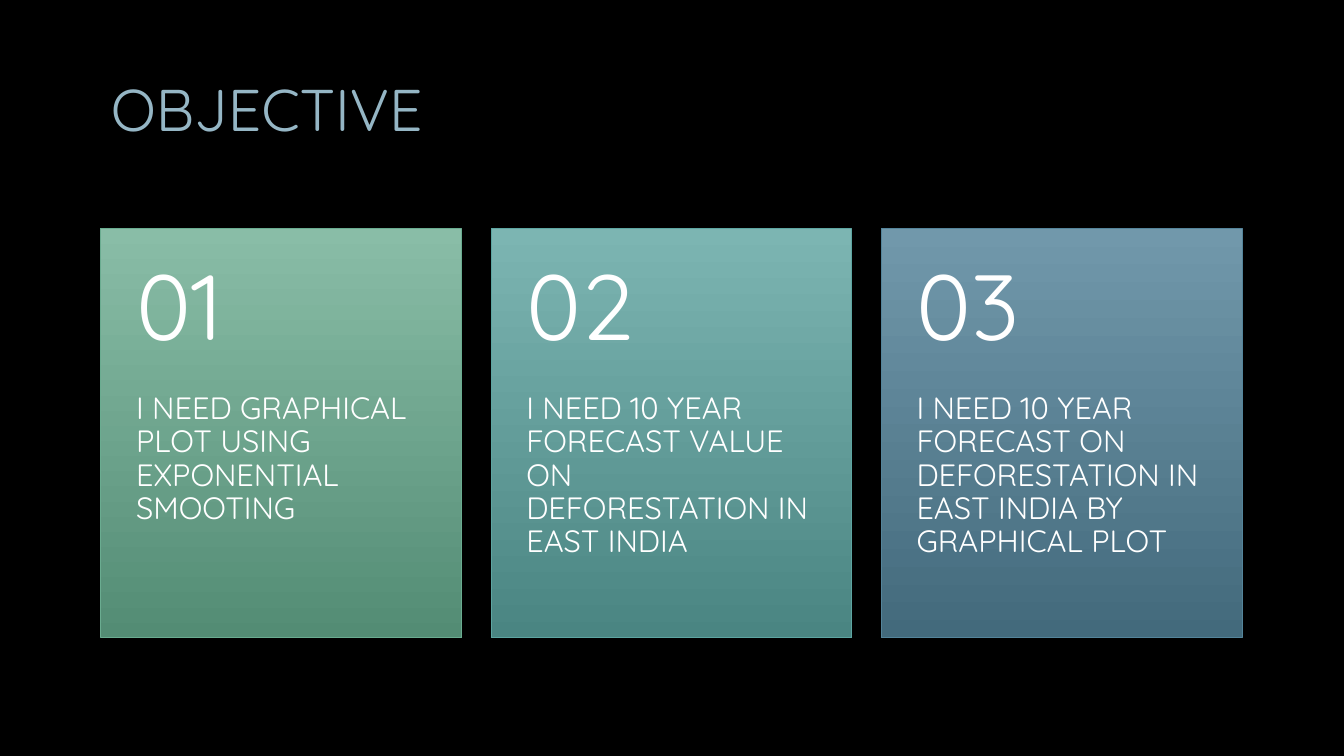
from dataclasses import dataclass

from lxml import etree
from pptx import Presentation
from pptx.dml.color import RGBColor
from pptx.enum.shapes import MSO_SHAPE as Shape
from pptx.enum.text import MSO_ANCHOR as Anchor, PP_ALIGN as Align
from pptx.oxml import parse_xml
from pptx.oxml.ns import nsdecls, qn
from pptx.slide import Slide
from pptx.text.text import TextFrame
from pptx.util import Inches, Pt


@dataclass(frozen=True)
class Theme:
    font: str = "Quicksand"
    background: str = "000000"
    title: str = "95B6C5"
    text: str = "FFFFFF"
    title_size: float = 42
    number_size: float = 66
    body_size: float = 22


@dataclass(frozen=True)
class Card:
    text: str
    top_color: str
    bottom_color: str
    border: str


THEME = Theme()
CARDS = [
    Card("I NEED GRAPHICAL PLOT USING EXPONENTIAL SMOOTING",
         "89BDA7", "538C74", "6AAC90"),
    Card("I NEED 10 YEAR FORECAST VALUE ON DEFORESTATION IN EAST INDIA",
         "7CB5B2", "4A8582", "5DA5A1"),
    Card("I NEED 10 YEAR FORECAST ON DEFORESTATION IN EAST INDIA BY GRAPHICAL PLOT",
         "7198AB", "436A7C", "54849A"),
]

# Card grid, in inches
LEFT, TOP, WIDTH, HEIGHT = 1, 2.27, 3.58, 4.06
STEP = 3.87
NUMBER_HEIGHT, BODY_TOP, BODY_HEIGHT = 1.62, 3.9, 2.44
SIDE_INSET = 0.35


def add_text(tf: TextFrame, text: str, size: float, color: str) -> None:
    p = tf.paragraphs[0]
    p.alignment = Align.LEFT
    r = p.add_run()
    r.text = text
    r.font.name = THEME.font
    r.font.size = Pt(size)
    r.font.color.rgb = RGBColor.from_string(color)


def add_label(s: Slide, left: float, top: float, height: float, text: str,
              size: float, anchor: Anchor, insets: tuple[float, float]) -> None:
    tf = s.shapes.add_textbox(Inches(left), Inches(top),
                              Inches(WIDTH), Inches(height)).text_frame
    tf.word_wrap = True
    tf.vertical_anchor = anchor
    tf.margin_left = tf.margin_right = Inches(SIDE_INSET)
    tf.margin_top, tf.margin_bottom = map(Inches, insets)
    add_text(tf, text, size, THEME.text)
    tf.paragraphs[0].line_spacing = 0.9


def add_panel(s: Slide, left: float, card: Card) -> None:
    sp = s.shapes.add_shape(Shape.RECTANGLE, Inches(left), Inches(TOP),
                            Inches(WIDTH), Inches(HEIGHT))
    sp.fill.gradient()
    sp.fill.gradient_angle = 270  # counter-clockwise: top to bottom
    for stop, color, position in zip(sp.fill.gradient_stops,
                                     (card.top_color, card.bottom_color), (0, 1)):
        stop.color.rgb = RGBColor.from_string(color)
        stop.position = position
    sp.line.color.rgb = RGBColor.from_string(card.border)
    sp.line.width = Pt(0.75)
    # Soft shadow below the panel
    sp.shadow.inherit = False
    effects = sp._element.spPr.find(qn("a:effectLst"))
    effects.append(parse_xml(
        f'<a:outerShdw {nsdecls("a")} blurRad="{Pt(5)}" dist="{Pt(3)}" '
        'dir="5400000" algn="ctr" rotWithShape="0"><a:srgbClr val="000000">'
        '<a:alpha val="60000"/></a:srgbClr></a:outerShdw>'))


def add_card(s: Slide, index: int, card: Card) -> None:
    left = LEFT + index * STEP
    add_panel(s, left, card)
    add_label(s, left, BODY_TOP, BODY_HEIGHT, card.text,
              THEME.body_size, Anchor.TOP, (0, 0.36))
    add_label(s, left, TOP, NUMBER_HEIGHT, f"{index + 1:02}",
              THEME.number_size, Anchor.MIDDLE, (0.18, 0.18))


def main() -> None:
    prs = Presentation()
    prs.slide_width, prs.slide_height = Inches(13.33), Inches(7.5)
    s = prs.slides.add_slide(prs.slide_layouts[5])
    s.background.fill.solid()
    s.background.fill.fore_color.rgb = RGBColor.from_string(THEME.background)

    # Title
    title = s.shapes.title
    title.left, title.top = Inches(1), Inches(0.67)
    title.width, title.height = Inches(11.32), Inches(1.38)
    title.text_frame.vertical_anchor = Anchor.TOP
    add_text(title.text_frame, "OBJECTIVE", THEME.title_size, THEME.title)

    # Cards
    for index, card in enumerate(CARDS):
        add_card(s, index, card)

    prs.save("out.pptx")


if __name__ == "__main__":
    main()
